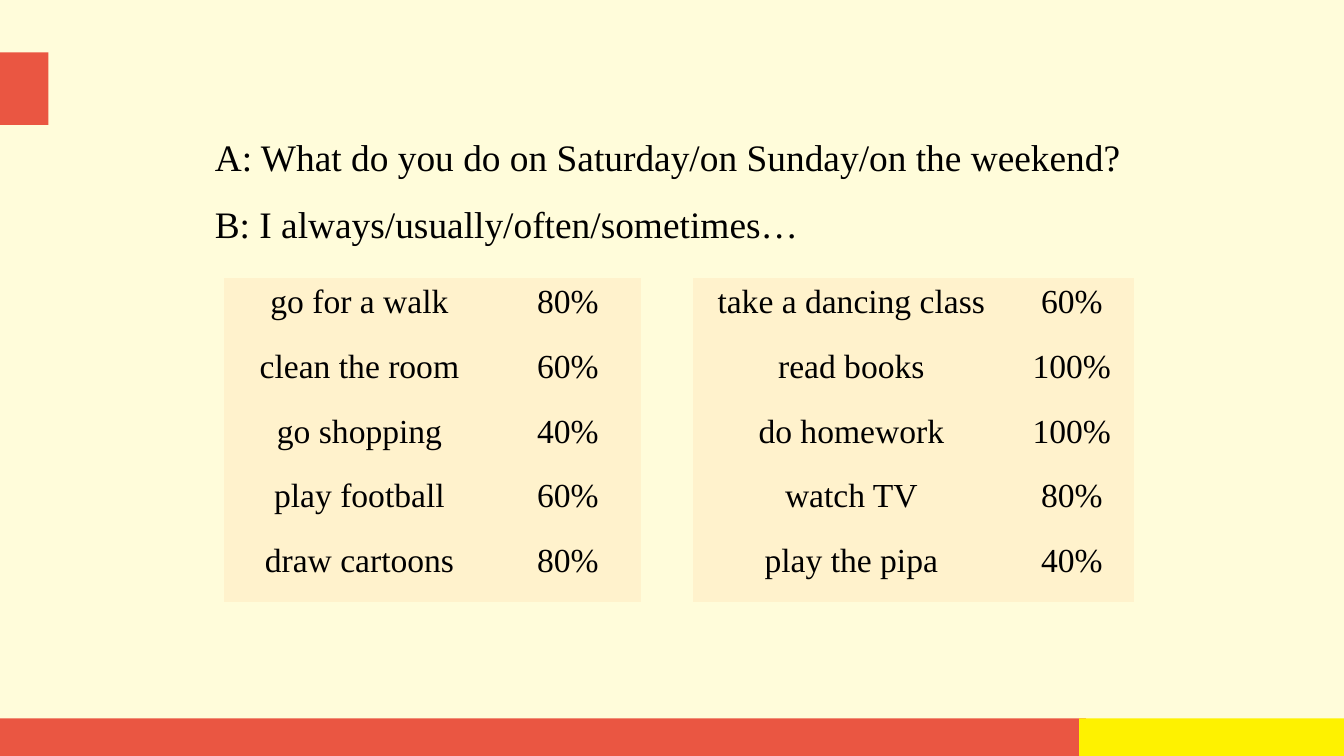
from pptx import Presentation
from pptx.dml.color import RGBColor
from pptx.enum.shapes import MSO_SHAPE as Shape
from pptx.enum.text import MSO_AUTO_SIZE as AutoSize, PP_ALIGN as Align
from pptx.oxml.ns import qn
from pptx.util import Inches, Pt

FONT = "Times New Roman"
CREAM, RED, YELLOW, SAND, BLACK = "FFFCDA", "EA5642", "FEF200", "FFF2CC", "000000"
NO_STYLE_NO_GRID = "{2D5ABB26-0587-4C30-8999-92F81FD0307C}"
WIDTH = 10
HEIGHT = WIDTH * 9 / 16

DIALOGUE = [
    "A: What do you do on Saturday/on Sunday/on the weekend?",
    "B: I always/usually/often/sometimes…",
]
LEFT_ACTIVITIES = [
    ("go for a walk", "80%"),
    ("clean the room", "60%"),
    ("go shopping", "40%"),
    ("play football", "60%"),
    ("draw cartoons", "80%"),
]
RIGHT_ACTIVITIES = [
    ("take a dancing class", "60%"),
    ("read books", "100%"),
    ("do homework", "100%"),
    ("watch TV", "80%"),
    ("play the pipa", "40%"),
]


def paint(fill, color):
    fill.solid()
    fill.fore_color.rgb = RGBColor.from_string(color)


def add_span(para, text, size):
    span = para.add_run()
    span.text = text
    span.font.name = FONT
    span.font.size = Pt(size)
    span.font.color.rgb = RGBColor.from_string(BLACK)


def add_block(page, left, top, width, height, color):
    block = page.shapes.add_shape(
        Shape.RECTANGLE, Inches(left), Inches(top), Inches(width), Inches(height))
    block.shadow.inherit = False
    block.line.fill.background()
    paint(block.fill, color)


def add_decoration(page, width, height):
    band, split, overlap = 0.28, 8.03, 0.05
    add_block(page, 0, 0, width, height, CREAM)
    add_block(page, 0, height - band, split + overlap, band, RED)
    add_block(page, split, height - band, width - split, band, YELLOW)
    add_block(page, 0, 0.39, 0.36, 0.54, RED)


def add_dialogue(page, left, top, width, height, lines):
    box = page.shapes.add_textbox(
        Inches(left), Inches(top), Inches(width), Inches(height))
    frame = box.text_frame
    frame.word_wrap = False
    frame.auto_size = AutoSize.SHAPE_TO_FIT_TEXT
    for index, line in enumerate(lines):
        para = frame.add_paragraph() if index else frame.paragraphs[0]
        para.line_spacing = 1.5
        add_span(para, line, 20)


def add_activity_table(page, left, top, height, widths, rows):
    table = page.shapes.add_table(
        len(rows), len(widths), Inches(left), Inches(top),
        Inches(sum(widths)), Inches(height)).table
    table.first_row = False
    table.horz_banding = False
    table._tbl.tblPr.find(qn("a:tableStyleId")).text = NO_STYLE_NO_GRID
    for column, width in zip(table.columns, widths):
        column.width = Inches(width)
    for row_index, row in enumerate(rows):
        for column_index, text in enumerate(row):
            cell = table.cell(row_index, column_index)
            paint(cell.fill, SAND)
            cell.margin_left = cell.margin_right = Inches(0.07)
            cell.margin_top = cell.margin_bottom = Inches(0.04)
            para = cell.text_frame.paragraphs[0]
            para.alignment = Align.CENTER
            add_span(para, text, 18)


def main():
    deck = Presentation()
    deck.slide_width, deck.slide_height = Inches(WIDTH), Inches(HEIGHT)
    page = deck.slides.add_slide(deck.slide_layouts[6])
    add_decoration(page, WIDTH, HEIGHT)
    add_dialogue(page, 1.5, 0.78, 6.99, 1.05, DIALOGUE)
    add_activity_table(page, 1.67, 2.07, 2.41, (2.01, 1.09), LEFT_ACTIVITIES)
    add_activity_table(page, 5.16, 2.07, 2.41, (2.35, 0.93), RIGHT_ACTIVITIES)
    deck.save("out.pptx")


if __name__ == "__main__":
    main()
